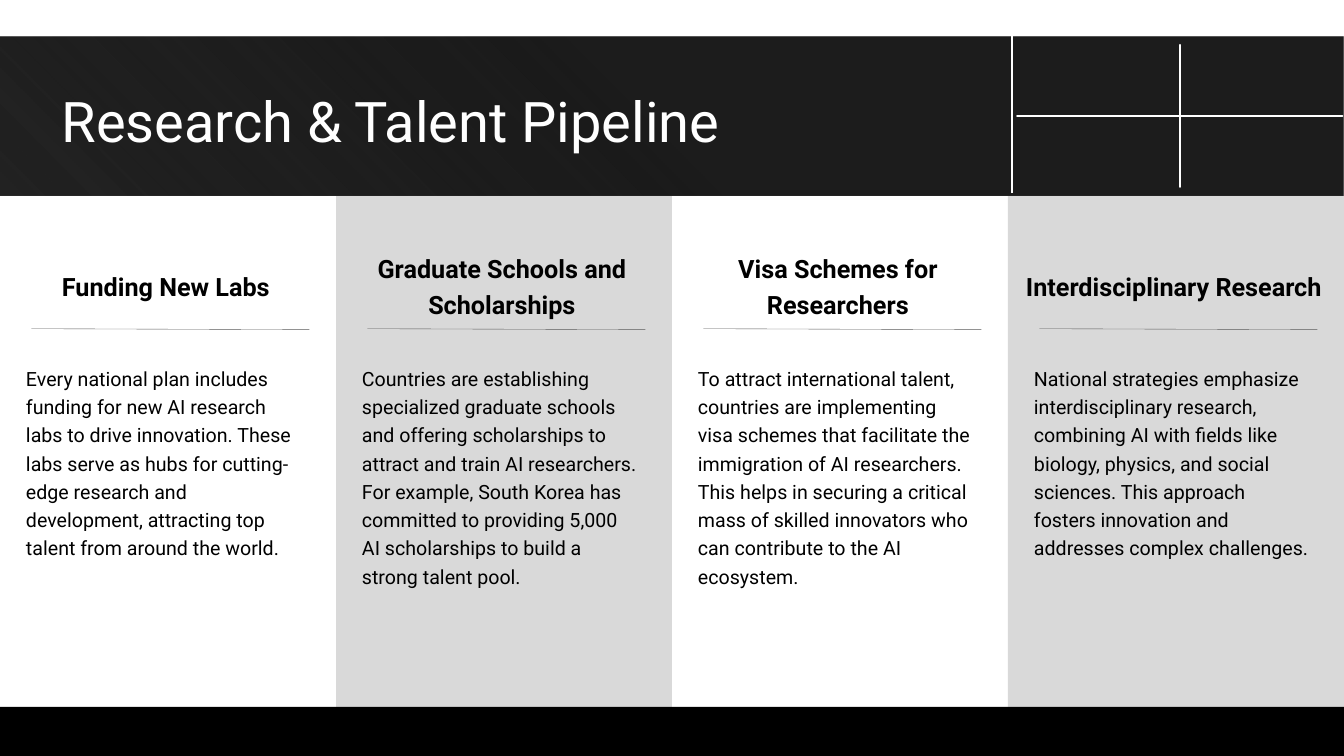
from lxml.etree import SubElement
from pptx import Presentation
from pptx.dml.color import RGBColor
from pptx.enum.shapes import MSO_CONNECTOR, MSO_SHAPE
from pptx.enum.text import MSO_ANCHOR, MSO_AUTO_SIZE, PP_ALIGN
from pptx.oxml import parse_xml
from pptx.oxml.ns import nsdecls, qn
from pptx.util import Pt

COLORS = {"white": "FFFFFF", "black": "000000", "dark": "1C1C1C",
          "gray": "D9D9D9", "rule": "595959"}
COLUMNS = [
    ("Funding New Labs", 141,
     "Every national plan includes funding for new AI research labs to drive "
     "innovation. These labs serve as hubs for cutting-edge research and "
     "development, attracting top talent from around the world."),
    ("Graduate Schools and Scholarships", 181,
     "Countries are establishing specialized graduate schools and offering "
     "scholarships to attract and train AI researchers. For example, South "
     "Korea has committed to providing 5,000 AI scholarships to build a "
     "strong talent pool."),
    ("Visa Schemes for Researchers", 181,
     "To attract international talent, countries are implementing visa "
     "schemes that facilitate the immigration of AI researchers. This helps "
     "in securing a critical mass of skilled innovators who can contribute "
     "to the AI ecosystem."),
    ("Interdisciplinary Research", 161,
     "National strategies emphasize interdisciplinary research, combining AI "
     "with fields like biology, physics, and social sciences. This approach "
     "fosters innovation and addresses complex challenges."),
]
WIDTH, HEIGHT = 960, 540
STEP = WIDTH / len(COLUMNS)


def color(name):
    """Return the named colour."""
    return RGBColor.from_string(COLORS[name])


def add_block(slide, box, fill, kind=MSO_SHAPE.RECTANGLE):
    """Add a filled shape without outline or shadow."""
    shape = slide.shapes.add_shape(kind, *map(Pt, box))
    shape.shadow.inherit = False
    shape.fill.solid()
    shape.fill.fore_color.rgb = color(fill)
    shape.line.fill.background()
    return shape


def add_band(slide, box):
    """Add the title band with its diagonal gradient."""
    band = add_block(slide, box, "dark")
    dark, black = COLORS["dark"], COLORS["black"]
    grad = parse_xml(
        f'<a:gradFill {nsdecls("a")} rotWithShape="1"><a:gsLst>'
        f'<a:gs pos="0"><a:srgbClr val="{dark}"/></a:gs>'
        f'<a:gs pos="51000"><a:srgbClr val="{dark}"/></a:gs>'
        f'<a:gs pos="100000"><a:srgbClr val="{black}">'
        '<a:alpha val="86000"/></a:srgbClr></a:gs>'
        '</a:gsLst><a:lin ang="8100000" scaled="0"/></a:gradFill>')
    props = band.element.spPr
    props.replace(props.find(qn("a:solidFill")), grad)


def add_cross(slide, box):
    """Add the thin white cross in the title band."""
    cross = add_block(slide, box, "white", MSO_SHAPE.MATH_PLUS)
    cross.adjustments[0] = 0
    cross.line.color.rgb = color("white")
    cross.line.width = Pt(1.5)


def add_line(slide, ends, tint, width):
    """Add a straight line without shadow."""
    line = slide.shapes.add_connector(MSO_CONNECTOR.STRAIGHT, *map(Pt, ends))
    line.line.color.rgb = color(tint)
    line.line.width = Pt(width)
    SubElement(line.element.spPr, qn("a:effectLst"))


def add_text(slide, box, text, size, tint="black", bold=False):
    """Add a wrapped text box with one paragraph and return it."""
    shape = slide.shapes.add_textbox(*map(Pt, box))
    shape.text_frame.word_wrap = True
    para = shape.text_frame.paragraphs[0]
    para.text = text
    para.line_spacing = 1.2
    para.font.name = "Roboto"
    para.font.size = Pt(size)
    para.font.bold = bold
    para.font.color.rgb = color(tint)
    return shape


def add_column(slide, left, head, height, body):
    """Add the heading, rule and body of one column."""
    title = add_text(slide, (left - 1.5, 180, STEP, 45), head, 18, bold=True)
    title.text_frame.vertical_anchor = MSO_ANCHOR.MIDDLE
    title.text_frame.paragraphs[0].alignment = PP_ALIGN.CENTER
    add_line(slide, (left + 22.5, 234.8, left + 221, 235.5), "rule", 0.25)
    text = add_text(slide, (left + 11.5, 255.2, 211.7, height), body, 14)
    text.text_frame.auto_size = MSO_AUTO_SIZE.SHAPE_TO_FIT_TEXT


def main():
    """Build and save the slide."""
    deck = Presentation()
    deck.slide_width, deck.slide_height = Pt(WIDTH), Pt(HEIGHT)
    slide = deck.slides.add_slide(deck.slide_layouts[6])
    for index in (1, 3):
        add_block(slide, (index * STEP, 140.2, STEP, 385), "gray")
    add_band(slide, (0, 26, WIDTH, 113.5))
    add_block(slide, (0, 505, WIDTH, 35), "black")
    add_text(slide, (37, 49, 504, 70.5), "Research & Talent Pipeline", 40, "white")
    add_cross(slide, (684.7, 13.7, 316, 138.2))
    add_line(slide, (723, 138, 723, 26), "white", 1.5)
    for index, (head, height, body) in enumerate(COLUMNS):
        add_column(slide, index * STEP, head, height, body)
    deck.save("out.pptx")


if __name__ == "__main__":
    main()
